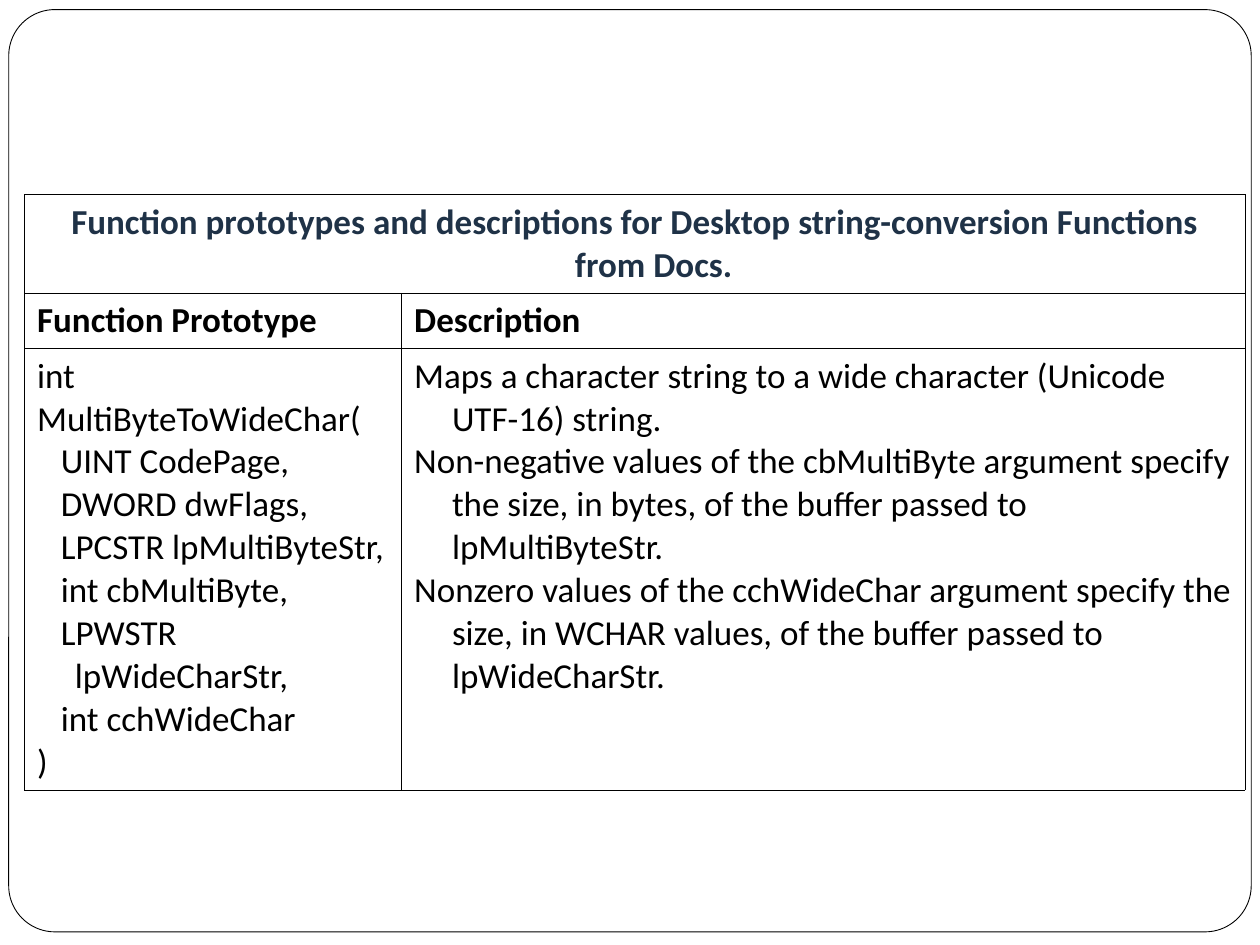
from lxml import etree
from pptx import Presentation
from pptx.dml.color import RGBColor
from pptx.enum.shapes import MSO_SHAPE
from pptx.enum.text import MSO_ANCHOR, PP_ALIGN
from pptx.oxml.ns import qn
from pptx.util import Pt

ROUNDED = MSO_SHAPE.ROUNDED_RECTANGLE
MIDDLE = MSO_ANCHOR.MIDDLE
LEFT, CENTER = PP_ALIGN.LEFT, PP_ALIGN.CENTER

WHITE = RGBColor(0xFF, 0xFF, 0xFF)
BLACK = RGBColor(0x00, 0x00, 0x00)
NAVY = RGBColor(0x1F, 0x32, 0x47)

HANGING_INDENT = Pt(21.6)
COLUMN_WIDTHS = (215.5, 482)
ROW_HEIGHTS = (55.5, 31.5, 248)

CAPTION = "Function prototypes and descriptions for Desktop string-conversion Functions from Docs."
HEADINGS = ("Function Prototype", "Description")
PROTOTYPE = """int
MultiByteToWideChar(
   UINT CodePage,
   DWORD dwFlags,
   LPCSTR lpMultiByteStr,
   int cbMultiByte,
   LPWSTR lpWideCharStr,
   int cchWideChar
)"""
DESCRIPTION = """Maps a character string to a wide character (Unicode UTF-16) string.
Non-negative values of the cbMultiByte argument specify the size, in bytes, of the buffer passed to lpMultiByteStr.
Nonzero values of the cchWideChar argument specify the size, in WCHAR values, of the buffer passed to lpWideCharStr."""


def add_frame(slide):
    """Draw the rounded border around the slide."""
    frame = slide.shapes.add_shape(ROUNDED, Pt(5), Pt(5.5), Pt(710), Pt(527))
    frame.adjustments[0] = 0.05
    frame.shadow.inherit = False
    frame.fill.solid()
    frame.fill.fore_color.rgb = WHITE
    frame.line.color.rgb = BLACK
    frame.line.width = Pt(0.5)


def style_cell(cell):
    """Give a cell thin black borders and no fill."""
    properties = cell._tc.get_or_add_tcPr()
    for side in ("a:lnL", "a:lnR", "a:lnT", "a:lnB"):
        border = etree.SubElement(properties, qn(side), w=str(Pt(0.34)))
        fill = etree.SubElement(border, qn("a:solidFill"))
        etree.SubElement(fill, qn("a:srgbClr"), val=str(BLACK))
    cell.fill.background()


def write_cell(cell, text, bold=False, color=BLACK, alignment=LEFT):
    """Fill a cell with hanging paragraphs, one per line of text."""
    cell.text = text
    for paragraph in cell.text_frame.paragraphs:
        properties = paragraph._p.get_or_add_pPr()
        properties.set("marL", str(HANGING_INDENT))
        properties.set("indent", str(-HANGING_INDENT))
        paragraph.alignment = alignment
        paragraph.font.name = "Calibri"
        paragraph.font.size = Pt(20)
        paragraph.font.bold = bold
        paragraph.font.color.rgb = color


def add_function_table(slide):
    """Add the table of function prototypes and descriptions."""
    functions = slide.shapes.add_table(
        len(ROW_HEIGHTS), len(COLUMN_WIDTHS), Pt(14), Pt(111.25),
        Pt(sum(COLUMN_WIDTHS)), Pt(sum(ROW_HEIGHTS))).table
    functions.first_row = False
    functions.horz_banding = False
    for column, width in zip(functions.columns, COLUMN_WIDTHS):
        column.width = Pt(width)
    for row, height in zip(functions.rows, ROW_HEIGHTS):
        row.height = Pt(height)
    for cell in functions.iter_cells():
        style_cell(cell)

    caption = functions.cell(0, 0)
    caption.merge(functions.cell(0, 1))
    caption.vertical_anchor = MIDDLE
    write_cell(caption, CAPTION, True, NAVY, CENTER)
    for column, heading in enumerate(HEADINGS):
        write_cell(functions.cell(1, column), heading, True)
    for column, content in enumerate((PROTOTYPE, DESCRIPTION)):
        write_cell(functions.cell(2, column), content)


def main():
    """Build and save the slide."""
    presentation = Presentation()
    presentation.slide_width = Pt(720)
    presentation.slide_height = Pt(540)
    slide = presentation.slides.add_slide(presentation.slide_layouts[6])
    add_frame(slide)
    add_function_table(slide)
    presentation.save("out.pptx")


if __name__ == "__main__":
    main()
